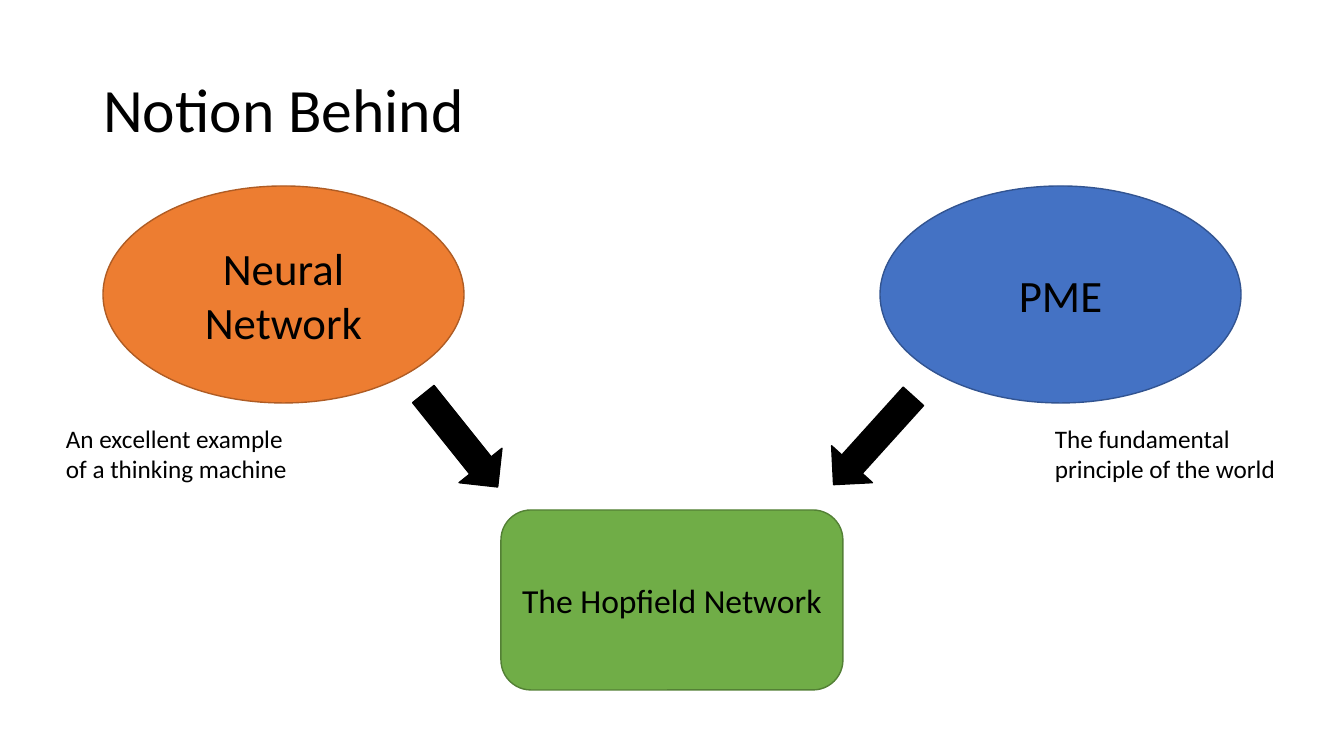
from pptx import Presentation
from pptx.dml.color import RGBColor
from pptx.enum.shapes import MSO_SHAPE
from pptx.enum.text import MSO_ANCHOR, MSO_AUTO_SIZE, PP_ALIGN
from pptx.util import Pt

EMU_PER_PX = 914400 / 100.8
SLIDE_WIDTH, SLIDE_HEIGHT = 1344, 756
TITLE_ONLY = 5
OVAL = MSO_SHAPE.OVAL
ROUNDED = MSO_SHAPE.ROUNDED_RECTANGLE
ARROW = MSO_SHAPE.RIGHT_ARROW
LEFT, CENTER = PP_ALIGN.LEFT, PP_ALIGN.CENTER
TOP, MIDDLE = MSO_ANCHOR.TOP, MSO_ANCHOR.MIDDLE
FIT_SHAPE = MSO_AUTO_SIZE.SHAPE_TO_FIT_TEXT
NO_FIT = MSO_AUTO_SIZE.NONE


def px(length):
    return round(length * EMU_PER_PX)


def color(hex_string):
    return RGBColor.from_string(hex_string)


class SlideBuilder:
    """Holds the text style and the slide being built."""

    font_name = "Calibri"
    ink = "000000"

    def __init__(self, slide):
        self.slide = slide

    def set_text(self, shape, text, size, align=LEFT, anchor=TOP, spacing=None, fit=NO_FIT):
        frame = shape.text_frame
        frame.word_wrap = True
        frame.auto_size = fit
        frame.vertical_anchor = anchor
        paragraph = frame.paragraphs[0]
        paragraph.text = text
        paragraph.alignment = align
        paragraph.line_spacing = spacing
        paragraph.font.name = self.font_name
        paragraph.font.size = Pt(size)
        paragraph.font.color.rgb = color(self.ink)

    def title(self, text, left, top, width, height):
        shape = self.slide.shapes.title
        shape.left, shape.top = px(left), px(top)
        shape.width, shape.height = px(width), px(height)
        self.set_text(shape, text, 44, anchor=MIDDLE, spacing=0.9)

    def shape(self, kind, box, fill, line):
        shape = self.slide.shapes.add_shape(kind, *map(px, box))
        shape.shadow.inherit = False
        shape.fill.solid()
        shape.fill.fore_color.rgb = color(fill)
        shape.line.color.rgb = color(line)
        shape.line.width = Pt(1)
        return shape

    def node(self, kind, text, size, box, fill, line):
        shape = self.shape(kind, box, fill, line)
        self.set_text(shape, text, size, align=CENTER, anchor=MIDDLE)

    def arrow(self, left, rotation):
        shape = self.shape(ARROW, (left, 413, 119, 55), self.ink, self.ink)
        shape.rotation = rotation

    def caption(self, text, left, width):
        shape = self.slide.shapes.add_textbox(px(left), px(418), px(width), px(72))
        self.set_text(shape, text, 18, fit=FIT_SHAPE)


def main():
    presentation = Presentation()
    presentation.slide_width = px(SLIDE_WIDTH)
    presentation.slide_height = px(SLIDE_HEIGHT)
    layout = presentation.slide_layouts[TITLE_ONLY]
    builder = SlideBuilder(presentation.slides.add_slide(layout))

    builder.title("Notion Behind", 93, 40, 1159, 146)
    builder.node(OVAL, "Neural Network", 32, (103, 186, 361, 217), "ED7D31", "AF5C24")
    builder.node(OVAL, "PME", 32, (880, 186, 361, 217), "4472C4", "325491")
    builder.node(ROUNDED, "The Hopfield Network", 24, (501, 510, 342, 180), "70AD47", "538035")
    builder.arrow(401, 51.3)
    builder.arrow(814, 132.1)
    builder.caption("An excellent example of a thinking machine", 56, 254)
    builder.caption("The fundamental principle of the world", 1045, 242)

    presentation.save("out.pptx")


if __name__ == "__main__":
    main()
